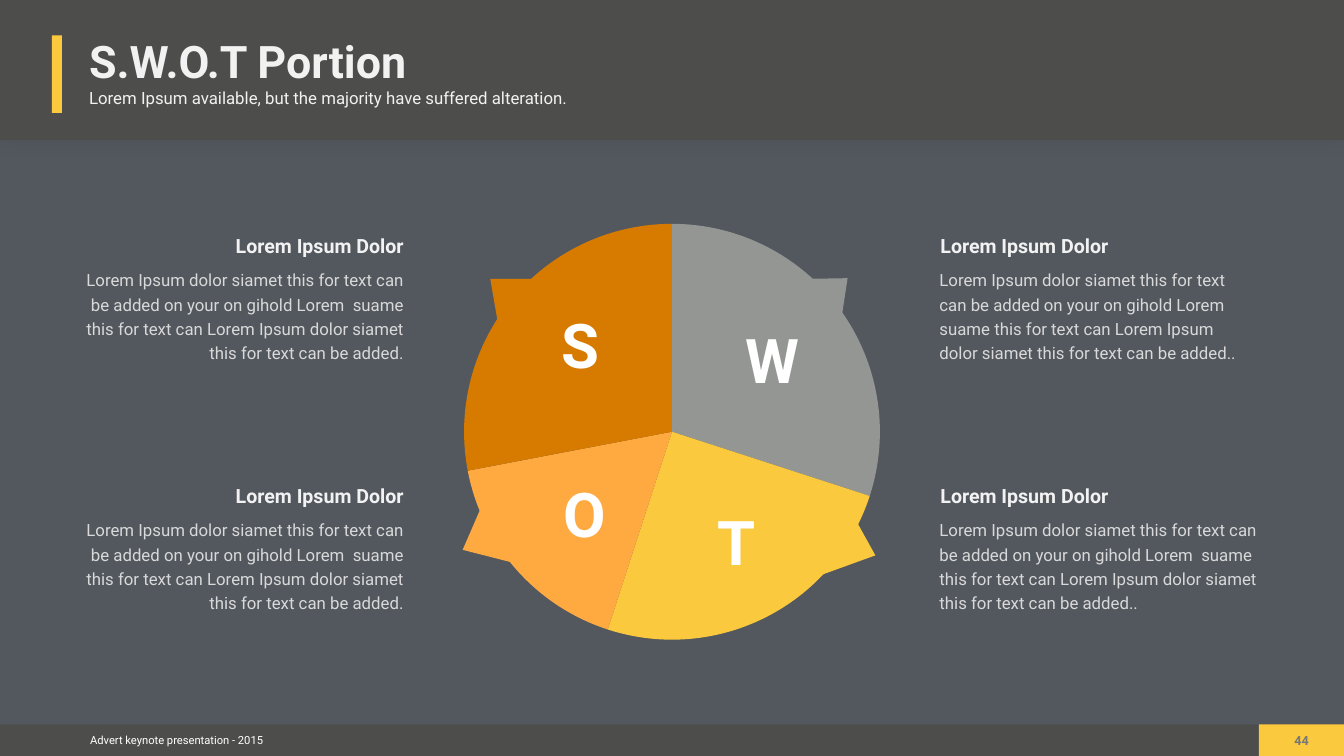
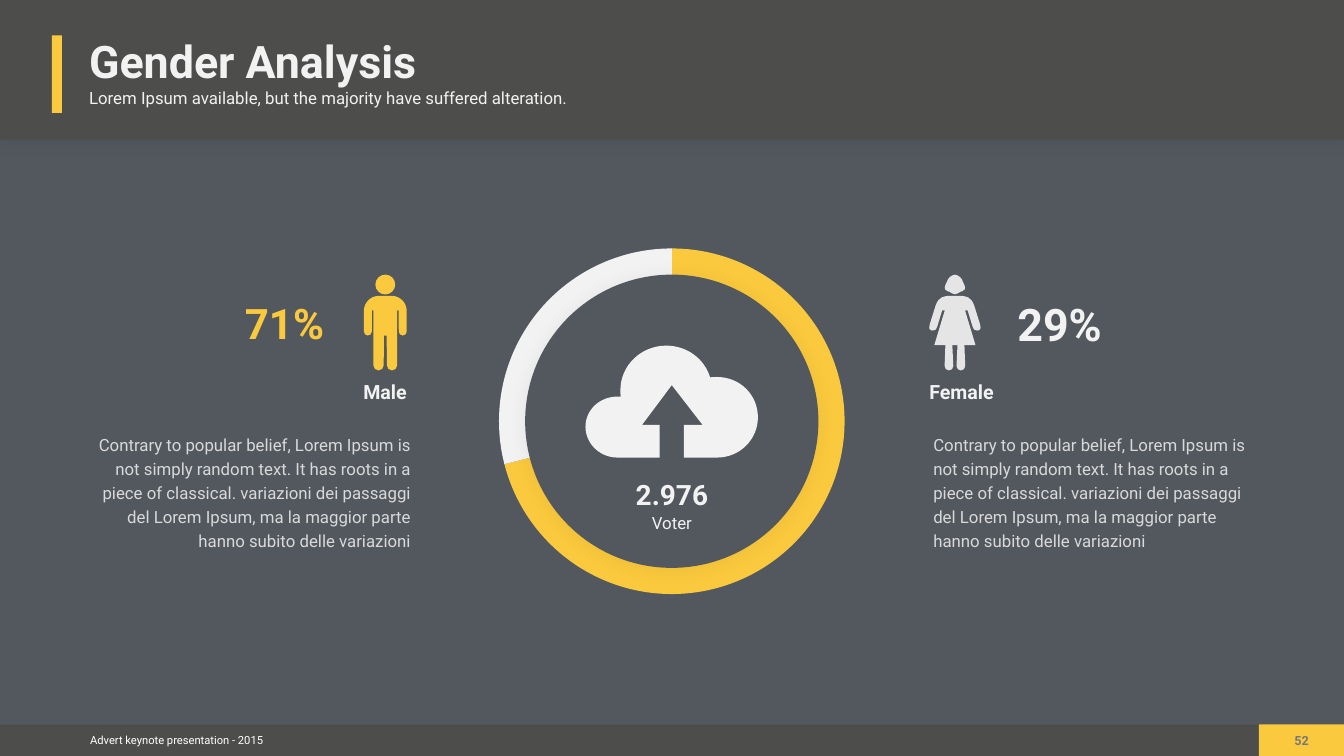
"""Build the S.W.O.T. portion and gender analysis slides."""
import math

import pptx
import pptx.chart.data
import pptx.dml.color
import pptx.enum.chart
import pptx.enum.shapes
import pptx.enum.text
import pptx.util
from lxml import etree
from pptx.oxml.ns import qn

Cm = pptx.util.Cm
RGB = pptx.dml.color.RGBColor
ALIGN = pptx.enum.text.PP_ALIGN
ANCHOR = pptx.enum.text.MSO_ANCHOR
KIND = pptx.enum.shapes.MSO_SHAPE

FONT = "Roboto"
SLATE = RGB(0x53, 0x58, 0x5F)
DARK = RGB(0x4D, 0x4E, 0x4C)
YELLOW = RGB(0xFA, 0xC9, 0x3D)
AMBER = RGB(0xFF, 0xA9, 0x41)
ORANGE = RGB(0xD7, 0x7A, 0x00)
GREY = RGB(0x94, 0x96, 0x93)
DIM = RGB(0x77, 0x77, 0x76)
PALE = RGB(0xD9, 0xD9, 0xD9)
LIGHT = RGB(0xF2, 0xF2, 0xF2)
WHITE = RGB(0xFF, 0xFF, 0xFF)

WIDE, HIGH = 67.74, 38.1
EDGE = 4.29
PAD = 0.2
HEAD = {"size": 28, "bold": True}
BODY = {"size": 24, "color": PALE, "line": 1.2}
SUB = "Lorem Ipsum available, but the majority have suffered alteration."
FOOT = "Advert keynote presentation - 2015"
DOLOR = ("Lorem Ipsum dolor siamet this for text can be added on your on gihold "
         "Lorem  suame this for text can Lorem Ipsum dolor siamet this for text can be added.")
BELIEF = ("Contrary to popular belief, Lorem Ipsum is not simply random text. It has roots "
          "in a piece of classical. variazioni dei passaggi del Lorem Ipsum, ma la maggior "
          "parte hanno subito delle variazioni")


def style(item, vals):
    """Set each named value on an item."""
    for name, val in vals.items():
        setattr(item, name, val)


def put(para, text, size, color=LIGHT, bold=False, align=ALIGN.LEFT, line=1.0):
    """Write one formatted paragraph."""
    para.text = text
    style(para, {"alignment": align, "line_spacing": line})
    style(para.font, {"name": FONT, "size": pptx.util.Pt(size), "bold": bold})
    para.font.color.rgb = color


def place(shape, box):
    """Move a shape to a box in centimetres."""
    style(shape, dict(zip(("left", "top", "width", "height"), map(Cm, box))))


def frame(shape, text, pad=0, anchor=ANCHOR.TOP, wrap=True, **look):
    """Format the text frame of a shape and write its first paragraph."""
    area = shape.text_frame
    sides = ("margin_left", "margin_right", "margin_top", "margin_bottom")
    style(area, dict.fromkeys(sides, Cm(pad)))
    style(area, {"vertical_anchor": anchor, "word_wrap": wrap,
                 "auto_size": pptx.enum.text.MSO_AUTO_SIZE.NONE})
    put(area.paragraphs[0], text, **look)
    return area


def label(slide, box, text, **look):
    """Add a text box."""
    shape = slide.shapes.add_textbox(*map(Cm, box))
    return frame(shape, text, **look), shape


def paint(shape, color, alpha=100):
    """Give a shape a flat fill with no line or shadow."""
    shape.shadow.inherit = False
    shape.fill.solid()
    shape.fill.fore_color.rgb = color
    shape.line.fill.background()
    if alpha < 100:
        tint = shape.element.spPr.find(".//" + qn("a:srgbClr"))
        etree.SubElement(tint, qn("a:alpha"), val=str(alpha * 1000))
    return shape


def block(slide, box, color, kind=KIND.RECTANGLE):
    """Add a filled preset shape."""
    return paint(slide.shapes.add_shape(kind, *map(Cm, box)), color)


def shade(shape):
    """Add a faint soft shadow below a shape."""
    pt = pptx.util.Pt
    glow = etree.SubElement(
        shape.element.spPr.find(qn("a:effectLst")), qn("a:outerShdw"),
        blurRad=str(pt(26)), dist=str(pt(2)), dir="5400000", algn="ctr", rotWithShape="0")
    tint = etree.SubElement(glow, qn("a:srgbClr"), val="000000")
    etree.SubElement(tint, qn("a:alpha"), val="5000")


def outline(slide, color, *loops, x=0, y=0, alpha=100):
    """Draw closed loops, where a step of six numbers is a curve."""
    pen = None
    for loop in loops:
        flat = [n for step in loop for n in step]
        first, *rest = [(Cm(x + u), Cm(y + v)) for u, v in zip(flat[::2], flat[1::2])]
        if pen is None:
            pen = slide.shapes.build_freeform(*first)
        else:
            pen.move_to(*first)
        pen.add_line_segments(rest, close=True)
    shape = pen.convert_to_shape()
    track = shape.element.spPr.find(".//" + qn("a:path"))
    nodes = iter([node for node in track if node.tag != qn("a:close")])
    for step in (step for loop in loops for step in loop):
        head, *tail = [next(nodes) for _ in step[::2]]
        if tail:
            curve = etree.Element(qn("a:cubicBezTo"))
            track.replace(head, curve)
            for node in (head, *tail):
                curve.append(node[0])
            for node in tail:
                track.remove(node)
    return paint(shape, color, alpha)


def arc(x, y, r, start, end):
    """Return a start point and the quarter curves of an arc."""
    def spot(turn, pull=0):
        """Return a point on the arc, pulled along its tangent."""
        cos, sin = math.cos(math.radians(turn)), math.sin(math.radians(turn))
        return x + r * (cos - pull * sin), y + r * (sin + pull * cos)
    return [spot(start)] + [(*spot(t, 0.55), *spot(t + 90, -0.55), *spot(t + 90))
                            for t in range(start, end, 90)]


def mirror(half):
    """Complete the right half of a figure with its left half."""
    back = [half[-1][-2:]]
    for last, step in reversed(list(zip(half, half[1:]))):
        pairs = list(zip(step[::2], step[1::2]))[-2::-1]
        back.append((*(n for pair in pairs for n in pair), *last[-2:]))
    return half + [tuple(n if i % 2 else -n for i, n in enumerate(step)) for step in back]


def pie(slide, left, top, side, vals, colors):
    """Add a pie chart that fills its frame."""
    data = pptx.chart.data.CategoryChartData()
    data.categories = [str(i + 1) for i in range(len(vals))]
    data.add_series("Region 1", vals)
    chart = slide.shapes.add_chart(
        pptx.enum.chart.XL_CHART_TYPE.PIE, *map(Cm, (left, top, side, side)), data).chart
    style(chart, {"has_legend": False, "has_title": False})
    style(chart.font, {"name": FONT, "size": pptx.util.Pt(10)})
    chart.font.color.rgb = WHITE
    plot = chart.plots[0]
    plot.vary_by_categories = True
    for i, color in enumerate(colors):
        look = plot.series[0].points[i].format
        look.fill.solid()
        look.fill.fore_color.rgb = color
        look.line.fill.background()
    area = chart.element.find(".//" + qn("c:plotArea"))
    for old in area.findall(qn("c:layout")):
        area.remove(old)
    spot = etree.Element(qn("c:layout"))
    area.insert(0, spot)
    rule = etree.SubElement(spot, qn("c:manualLayout"))
    for tag, val in (("layoutTarget", "inner"), ("xMode", "edge"), ("yMode", "edge"),
                     ("x", "0"), ("y", "0"), ("w", "1"), ("h", "1")):
        etree.SubElement(rule, qn("c:" + tag), val=val)


def dress(deck, layout, slide):
    """Move the shared bands, accent and footer onto the layout."""
    back = deck.slide_master.background.fill
    back.solid()
    back.fore_color.rgb = SLATE
    band = block(slide, (0, 0, WIDE, 7.06), DARK)
    shade(band)
    parts = [band,
             block(slide, (0, 36.51, WIDE, 1.59), DARK),
             block(slide, (63.45, 36.51, 4.29, 1.59), YELLOW),
             block(slide, (2.62, 1.79, 0.5, 3.9), YELLOW),
             label(slide, (4.27, 36.73, 9.27, 1.14), FOOT, pad=PAD, size=16, color=WHITE,
                   anchor=ANCHOR.MIDDLE, align=ALIGN.CENTER, wrap=False)[1]]
    for part in parts:
        layout.shapes.element.append(part.element)


def begin(slide, title, width, page):
    """Write the title, subtitle and page number."""
    place(slide.shapes.title, (EDGE, 1.5, width, 3.12))
    frame(slide.shapes.title, title, pad=PAD, anchor=ANCHOR.MIDDLE, wrap=False,
          size=64, bold=True)
    label(slide, (EDGE, 4.24, 27.28, 1.42), SUB, pad=PAD, size=24)
    label(slide, (65.02, 36.75, 1.17, 1.24), page, pad=PAD, wrap=False, size=18,
          color=DIM, bold=True, align=ALIGN.CENTER)


def note(slide, left, top, text, width, align, shift=0):
    """Add a heading with its paragraph."""
    label(slide, (left, top, 16.05, 1.5), "Lorem Ipsum Dolor", anchor=ANCHOR.MIDDLE,
          align=align, **HEAD)
    label(slide, (left - shift, top + 1.8, width, 6.86), text, align=align, **BODY)


def swot(slide):
    """Fill the S.W.O.T. slide."""
    begin(slide, "S.W.O.T Portion", 16.64, "44")
    pie(slide, 23.39, 11.28, 20.96, (30, 25, 17, 28), (GREY, YELLOW, AMBER, ORANGE))
    tips = ((GREY, [(42.72, 14.02), (42.27, 16.99), (39.73, 14.07)]),
            (YELLOW, [(44.12, 27.99), (41.3, 29.01), (42.67, 25.37)]),
            (ORANGE, [(24.71, 14.05), (27.71, 14.05), (25.22, 16.99)]),
            (AMBER, [(23.32, 27.71), (26.21, 28.45), (24.51, 24.97)]))
    for color, tip in tips:
        outline(slide, color, tip)
    for top, width in ((11.61, 15.75), (24.21, 16.05)):
        note(slide, 47.4, top, DOLOR + ".", width, ALIGN.LEFT, 0.05)
        note(slide, EDGE, top, DOLOR, 16.05, ALIGN.RIGHT)
    for text, left, top, width in (("S", 28.32, 15.49, 2.24), ("W", 37.59, 16.23, 3),
                                   ("O", 28.4, 24, 2.39), ("T", 36.17, 25.4, 2.03)):
        label(slide, (left, top, width, 4.37), text, anchor=ANCHOR.MIDDLE, wrap=False,
              size=88, color=WHITE, bold=True, line=0.8)


def man(slide):
    """Draw the male figure."""
    half = [*arc(0.32, 1.83, 0.76, -90, 0), *arc(0.88, 2.87, 0.2, 0, 180),
            (0.67, 1.8), (0.6, 1.8), *arc(0.34, 4.57, 0.26, 0, 180), (0.07, 3.07)]
    outline(slide, YELLOW, mirror(half), arc(0, 0.5, 0.5, 0, 360), x=19.42, y=13.84)


def woman(slide):
    """Draw the female figure."""
    half = [(0.2, 1.07), (0.58, 1.07, 0.81, 1.12, 0.97, 1.55), (1.27, 2.51),
            (1.32, 2.64, 1.32, 2.77, 1.17, 2.82), (1.04, 2.87, 0.94, 2.77, 0.89, 2.62),
            (0.64, 1.8), (0.51, 1.8), (1.04, 3.56), (0.48, 3.56),
            *arc(0.3, 4.61, 0.22, 0, 180), (0.13, 3.56)]
    hair = [(0, 0), (0.2, 0.03, 0.36, 0.18, 0.41, 0.38),
            (0.41, 0.38, 0.59, 0.69, 0.48, 0.76), (0.41, 0.86, 0.28, 0.86, 0.28, 0.86),
            (0.2, 0.94, 0.1, 0.97, 0, 0.99)]
    outline(slide, LIGHT, mirror(hair), mirror(half), x=48.13, y=13.84, alpha=92)


def cloud(slide):
    """Draw the cloud with its arrow cut out."""
    notch = [(34.47, 23.06), (34.47, 21.41), (35.41, 21.41), (33.86, 19.41),
             (32.36, 21.41), (33.25, 21.41), (33.25, 23.06)]
    outline(slide, LIGHT, [
        (38.2, 21.03), (38.2, 22.15, 37.29, 23.06, 36.14, 23.06), *notch, (31.12, 23.06),
        (30.23, 23.06, 29.51, 22.35, 29.51, 21.51),
        (29.51, 20.65, 30.23, 19.99, 31.12, 19.99), (31.29, 19.99),
        (31.27, 19.89, 31.27, 19.79, 31.27, 19.66),
        (31.27, 18.42, 32.31, 17.42, 33.58, 17.42),
        (34.62, 17.42, 35.51, 18.08, 35.79, 19.02),
        (35.89, 19, 36.02, 19, 36.14, 19), (37.29, 19, 38.2, 19.89, 38.2, 21.03)])


def gender(slide):
    """Fill the gender analysis slide."""
    begin(slide, "Gender Analysis", 17.02, "52")
    pie(slide, 25.15, 12.52, 17.42, (71, 29), (YELLOW, LIGHT))
    shade(block(slide, (26.47, 13.84, 14.78, 14.78), SLATE, KIND.OVAL))
    label(slide, (17.55, 19.15, 2.95, 2.18), "Male", align=ALIGN.RIGHT, **HEAD)
    label(slide, (46.84, 19.15, 3.66, 1.98), "Female", **HEAD)
    man(slide)
    woman(slide)
    for left, align in ((EDGE, ALIGN.RIGHT), (46.84, ALIGN.LEFT)):
        label(slide, (left, 21.49, 16.61, 7.9), BELIEF, pad=PAD, align=align, **BODY)
    label(slide, (12.04, 14.76, 4.6, 3), "71%", pad=PAD, anchor=ANCHOR.MIDDLE, size=60,
          color=YELLOW, bold=True, align=ALIGN.CENTER)
    label(slide, (51.08, 14.76, 4.8, 3), "29%", pad=PAD, size=64, bold=True)
    area, _ = label(slide, (30.45, 24.05, 6.83, 3.91), "2.976", size=40, bold=True,
                    align=ALIGN.CENTER)
    put(area.add_paragraph(), "Voter", 24, align=ALIGN.CENTER, line=1.1)
    cloud(slide)


def main():
    """Build and save the deck."""
    deck = pptx.Presentation()
    style(deck, {"slide_width": Cm(WIDE), "slide_height": Cm(HIGH)})
    layout = deck.slide_layouts[5]
    first, second = (deck.slides.add_slide(layout) for _ in range(2))
    dress(deck, layout, first)
    swot(first)
    gender(second)
    deck.save("out.pptx")


if __name__ == "__main__":
    main()
